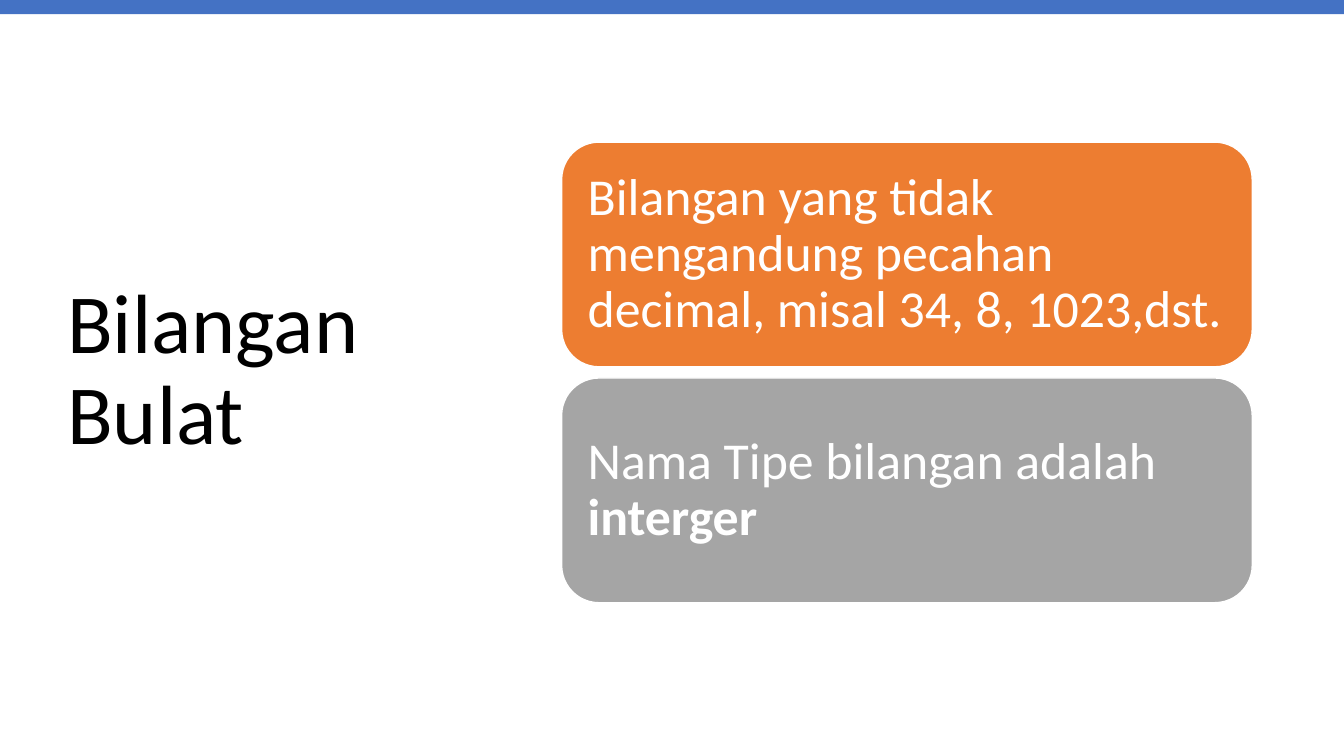
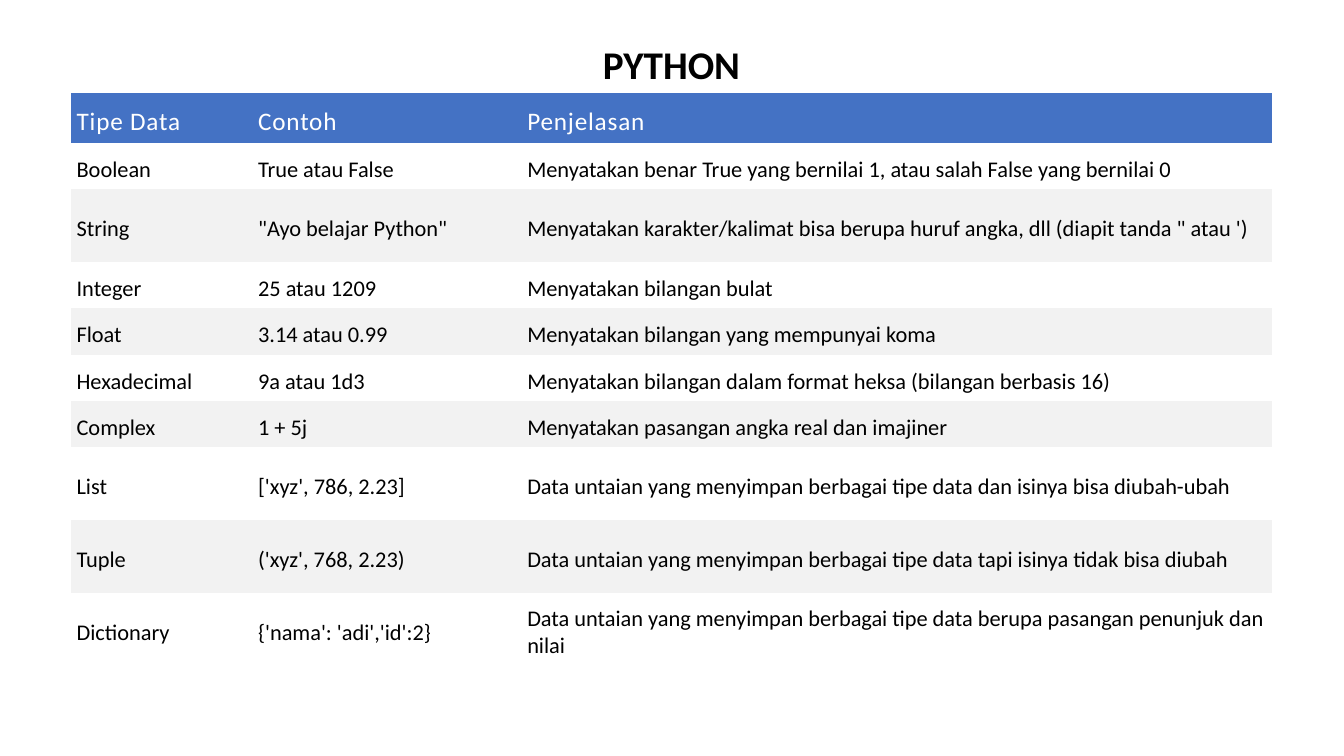
from pptx import Presentation
from pptx import util as u
from pptx.dml.color import RGBColor
from pptx.enum import shapes, text

PX = 9144  # EMU per px, 100 px to the inch
SLIDE_W, SLIDE_H = 1333, 750
FONT = "Calibri"
COLORS = {"blue": "4472C4", "orange": "ED7D31", "gray": "A5A5A5",
          "stripe": "F2F2F2", "white": "FFFFFF", "black": "000000"}
NO_GRID_STYLE = "{2D5ABB26-0587-4C30-8999-92F81FD0307C}"

CARDS = [
    ("orange", [("Bilangan yang tidak mengandung pecahan decimal, "
                 "misal 34, 8, 1023,dst.", False)]),
    ("gray", [("Nama Tipe bilangan adalah ", False), ("interger", True)]),
]

COLUMNS = [180, 267, 745]
HEAD_H, ROW_H, TALL_H = 50, 46, 72
TALL_ROWS = {"String", "List", "Tuple", "Dictionary"}
TYPES = [
    ("Tipe Data", "Contoh", "Penjelasan"),
    ("Boolean", "True atau False",
     "Menyatakan benar True yang bernilai 1, atau salah False yang bernilai 0"),
    ("String", '"Ayo belajar Python"',
     "Menyatakan karakter/kalimat bisa berupa huruf angka, dll "
     "(diapit tanda \" atau ')"),
    ("Integer", "25 atau 1209", "Menyatakan bilangan bulat"),
    ("Float", "3.14 atau 0.99", "Menyatakan bilangan yang mempunyai koma"),
    ("Hexadecimal", "9a atau 1d3",
     "Menyatakan bilangan dalam format heksa (bilangan berbasis 16)"),
    ("Complex", "1 + 5j", "Menyatakan pasangan angka real dan imajiner"),
    ("List", "['xyz', 786, 2.23]",
     "Data untaian yang menyimpan berbagai tipe data dan isinya bisa diubah-ubah"),
    ("Tuple", "('xyz', 768, 2.23)",
     "Data untaian yang menyimpan berbagai tipe data tapi isinya tidak bisa diubah"),
    ("Dictionary", "{'nama': 'adi','id':2}",
     "Data untaian yang menyimpan berbagai tipe data berupa pasangan penunjuk dan nilai"),
]


def px(*lengths):
    return [u.Emu(n * PX) for n in lengths]


def rgb(name):
    return RGBColor.from_string(COLORS[name])


def set_all(obj, **values):
    for name, value in values.items():
        setattr(obj, name, value)


def paint(obj, color):
    obj.fill.solid()
    obj.fill.fore_color.rgb = rgb(color)


def write(tf, runs, size, color, line_spacing=None):
    """Fill the first paragraph with (text, bold) runs."""
    p = tf.paragraphs[0]
    set_all(p, alignment=text.PP_ALIGN.LEFT, line_spacing=line_spacing)
    for words, bold in runs:
        r = p.add_run()
        r.text = words
        set_all(r.font, name=FONT, size=u.Pt(size), bold=bold)
        r.font.color.rgb = rgb(color)
    return p


def add_title(s, box, words, size, bold=False, **frame):
    tf = s.shapes.add_textbox(*px(*box)).text_frame
    set_all(tf, **frame)
    write(tf, [(words, bold)], size, "black", 0.9 if tf.word_wrap else None)


def add_box(s, kind, box, color):
    sp = s.shapes.add_shape(kind, *px(*box))
    sp.shadow.inherit = False
    paint(sp, color)
    sp.line.fill.background()
    return sp


def add_card(s, box, color, runs):
    sp = add_box(s, shapes.MSO_SHAPE.ROUNDED_RECTANGLE, box, color)
    sp.line.color.rgb = rgb("white")
    sp.line.width = u.Pt(1)
    tf = sp.text_frame
    inset, = px(15)
    set_all(tf, word_wrap=True, vertical_anchor=text.MSO_ANCHOR.MIDDLE,
            margin_left=inset, margin_top=inset,
            margin_right=inset, margin_bottom=inset)
    write(tf, runs, 37, "white", 0.9)


def fill_cell(cell, words, row):
    left, top, right, bottom = px(6, 11, 6, 4)
    set_all(cell, margin_left=left, margin_top=top, margin_right=right,
            margin_bottom=bottom, vertical_anchor=text.MSO_ANCHOR.MIDDLE)
    if row == 0:
        paint(cell, "blue")
        p = write(cell.text_frame, [(words, False)], 18, "white")
        p.runs[0].font._element.set("spc", "60")
        return
    if row % 2:
        cell.fill.background()
    else:
        paint(cell, "stripe")
    write(cell.text_frame, [(words, False)], 16, "black")


def add_type_table(s, left, top):
    heights = [HEAD_H] + [TALL_H if row[0] in TALL_ROWS else ROW_H
                          for row in TYPES[1:]]
    table = s.shapes.add_table(len(TYPES), len(COLUMNS),
                               *px(left, top, sum(COLUMNS), sum(heights))).table
    table.horz_banding = False
    table._tbl.tblPr[0].text = NO_GRID_STYLE
    for col, width in zip(table.columns, px(*COLUMNS)):
        col.width = width
    for i, (row, height) in enumerate(zip(table.rows, px(*heights))):
        row.height = height
        for cell, words in zip(row.cells, TYPES[i]):
            fill_cell(cell, words, i)


def build_integer_slide(s):
    add_title(s, (57, 68, 416, 602), "Bilangan Bulat", 60,
              word_wrap=True, vertical_anchor=text.MSO_ANCHOR.MIDDLE)
    add_box(s, shapes.MSO_SHAPE.RECTANGLE, (0, 0, SLIDE_W, 14), "blue")
    height, gap = 223, 11
    for i, (color, runs) in enumerate(CARDS):
        add_card(s, (557, 141 + i * (height + gap), 685, height), color, runs)


def build_types_slide(s):
    add_type_table(s, 70, 92)
    add_title(s, (588, 35, 158, 57), "PYTHON", 28, bold=True, word_wrap=False,
              auto_size=text.MSO_AUTO_SIZE.SHAPE_TO_FIT_TEXT)


def main():
    prs = Presentation()
    prs.slide_width, prs.slide_height = px(SLIDE_W, SLIDE_H)
    for build in (build_integer_slide, build_types_slide):
        build(prs.slides.add_slide(prs.slide_layouts[6]))
    prs.save("out.pptx")


if __name__ == "__main__":
    main()
